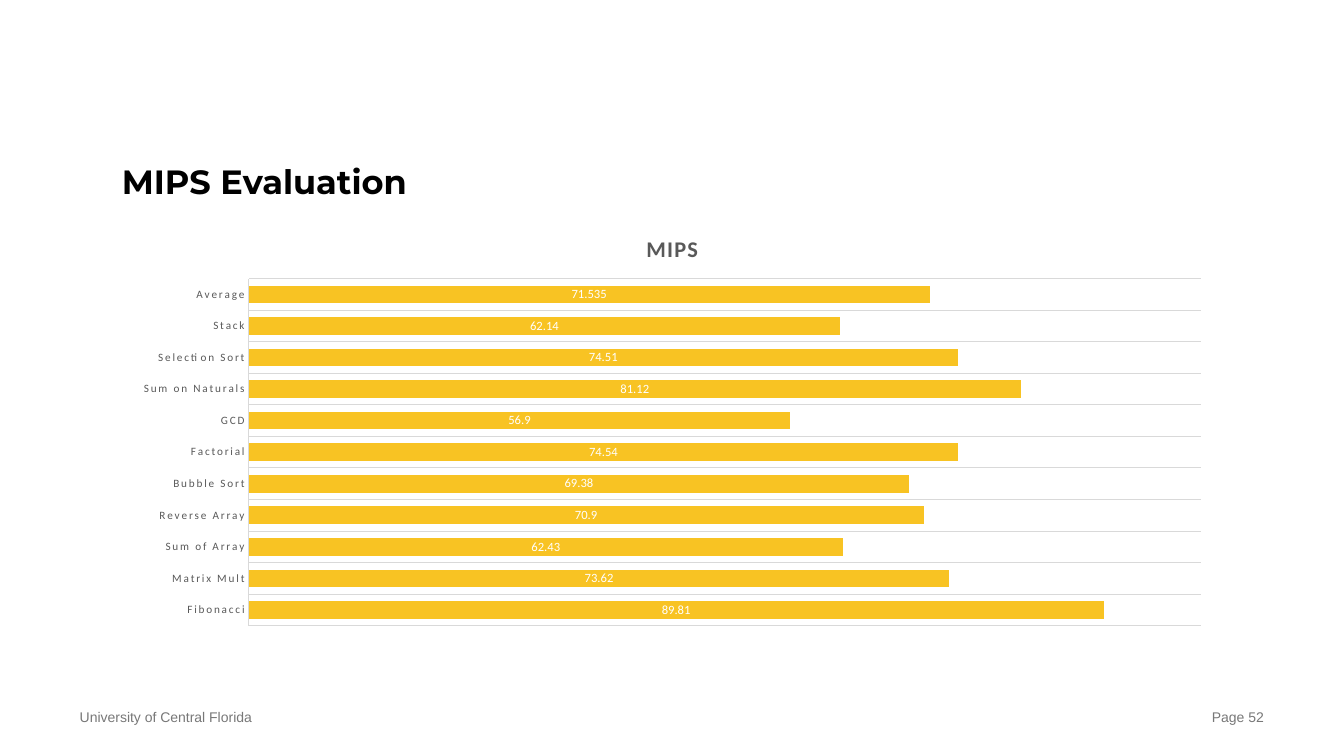
import dataclasses

import pptx
import pptx.chart.data
import pptx.dml.color
import pptx.enum.chart
import pptx.enum.text
import pptx.util

Cm = pptx.util.Cm
Pt = pptx.util.Pt
RGB = pptx.dml.color.RGBColor.from_string
ALIGN = pptx.enum.text.PP_ALIGN
ANCHOR = pptx.enum.text.MSO_ANCHOR


@dataclasses.dataclass(frozen=True)
class Theme:
    title_font: str = "Montserrat"
    footer_font: str = "Arial"
    chart_font: str = "Calibri"
    black: str = "000000"
    white: str = "FFFFFF"
    footer: str = "787878"
    label: str = "595959"
    grid: str = "D9D9D9"
    bar: str = "F8C323"
    title_size: float = 24
    footer_size: float = 10
    chart_size: float = 10
    chart_title_size: float = 16
    category_size: float = 8
    value_size: float = 9
    line_width: float = 0.75


class Deck:
    def __init__(self, theme):
        self.theme = theme
        self.prs = pptx.Presentation()
        self.prs.slide_width = Cm(33.87)
        self.prs.slide_height = Cm(19.05)
        self.s = self.prs.slides.add_slide(self.prs.slide_layouts[6])

    def style(self, font, name, size, color, bold=False):
        font.name = name
        font.size = Pt(size)
        font.bold = bold
        font.color.rgb = RGB(color)

    def rule(self, line):
        line.color.rgb = RGB(self.theme.grid)
        line.width = Pt(self.theme.line_width)

    def text(self, box, words, font, align=ALIGN.LEFT, anchor=ANCHOR.TOP):
        sp = self.s.shapes.add_textbox(*map(Cm, box))
        tf = sp.text_frame
        tf.word_wrap = True
        tf.vertical_anchor = anchor
        tf.margin_left = tf.margin_right = tf.margin_top = tf.margin_bottom = 0
        p = tf.paragraphs[0]
        p.alignment = align
        r = p.add_run()
        r.text = words
        self.style(r.font, *font)

    def title(self, box, words):
        t = self.theme
        font = (t.title_font, t.title_size, t.black, True)
        self.text(box, words, font, anchor=ANCHOR.BOTTOM)

    def footer(self, box, words, align=ALIGN.LEFT):
        t = self.theme
        self.text(box, words, (t.footer_font, t.footer_size, t.footer), align)

    def bar_chart(self, box, name, values):
        t = self.theme
        data = pptx.chart.data.CategoryChartData()
        data.categories = list(values)
        data.add_series(name, list(values.values()))
        kind = pptx.enum.chart.XL_CHART_TYPE.BAR_STACKED
        chart = self.s.shapes.add_chart(kind, *map(Cm, box), data).chart
        self.style(chart.font, t.chart_font, t.chart_size, t.black)
        chart.has_legend = False

        chart.has_title = True
        chart.chart_title.include_in_layout = False
        r = chart.chart_title.text_frame.paragraphs[0].add_run()
        r.text = name
        self.style(r.font, t.chart_font, t.chart_title_size, t.label, True)

        axis = chart.category_axis
        axis.has_major_gridlines = True
        axis.major_tick_mark = pptx.enum.chart.XL_TICK_MARK.NONE
        self.rule(axis.major_gridlines.format.line)
        self.rule(axis.format.line)
        self.style(axis.tick_labels.font, t.chart_font, t.category_size, t.label)

        chart.value_axis.visible = False
        chart.value_axis.has_major_gridlines = False
        chart.value_axis.minimum_scale = 0
        chart.value_axis.maximum_scale = 100

        plot = chart.plots[0]
        plot.gap_width = 79
        plot.overlap = 100
        plot.vary_by_categories = False
        bars = plot.series[0]
        bars.format.fill.solid()
        bars.format.fill.fore_color.rgb = RGB(t.bar)
        labels = bars.data_labels
        labels.show_value = True
        labels.position = pptx.enum.chart.XL_LABEL_POSITION.CENTER
        self.style(labels.font, t.chart_font, t.value_size, t.white)

        root = chart._chartSpace
        root.xpath(".//c:catAx/c:txPr//a:defRPr")[0].set("spc", "120")
        root.xpath(".//c:title//a:r/a:rPr")[0].set("spc", "100")


def main():
    deck = Deck(Theme())
    deck.footer((2.01, 17.86, 5.69, 0.43), "University of Central Florida")
    deck.footer((26.16, 17.86, 5.69, 0.43), "Page 52", ALIGN.RIGHT)
    deck.title((3.07, 3.07, 27.74, 2.01), "MIPS Evaluation")
    deck.bar_chart((3.07, 5.44, 27.74, 10.54), "MIPS", {
        "Fibonacci": 89.81,
        "Matrix Mult": 73.62,
        "Sum of Array": 62.43,
        "Reverse Array": 70.9,
        "Bubble Sort": 69.38,
        "Factorial": 74.54,
        "GCD": 56.9,
        "Sum on Naturals": 81.12,
        "Selection Sort": 74.51,
        "Stack": 62.14,
        "Average": 71.535,
    })
    deck.prs.save("out.pptx")


if __name__ == "__main__":
    main()
